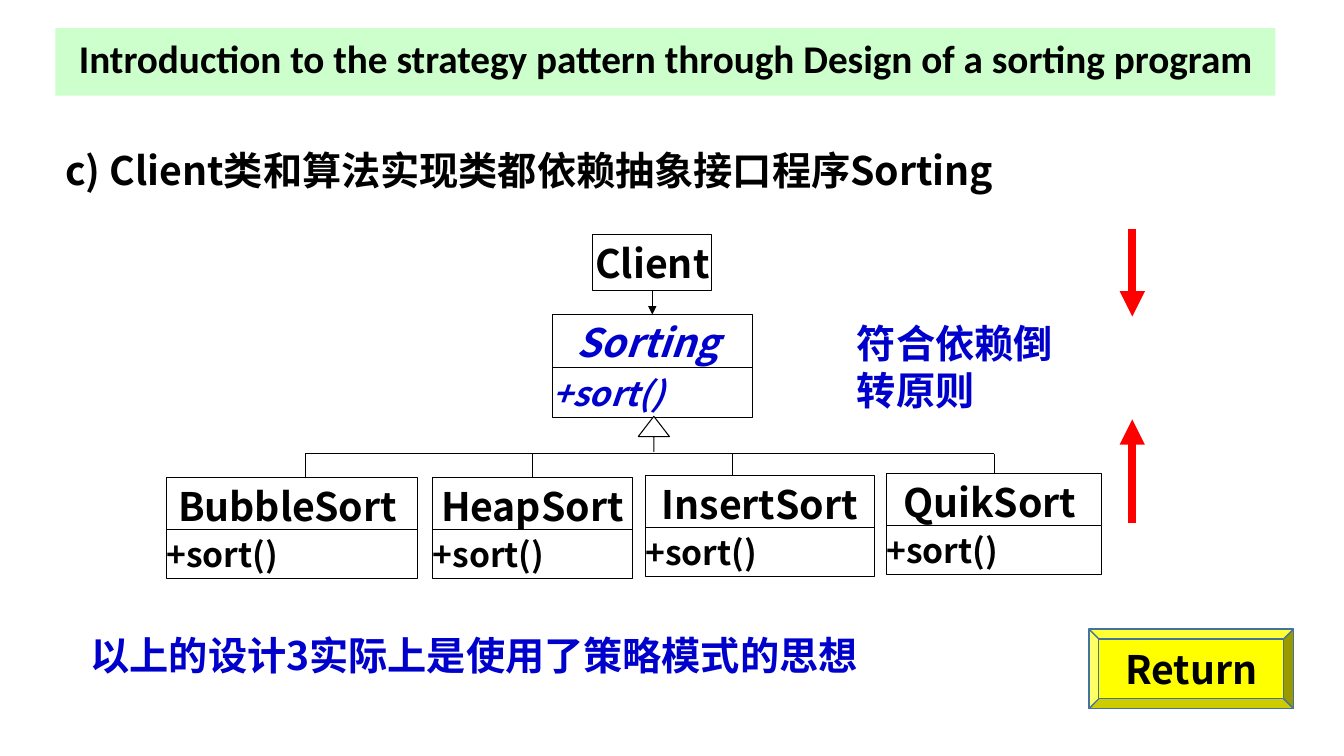
from dataclasses import dataclass

from lxml.etree import SubElement
from pptx import Presentation
from pptx.dml.color import RGBColor
from pptx.enum.shapes import MSO_CONNECTOR, MSO_SHAPE as Preset
from pptx.enum.text import MSO_ANCHOR as Anchor, MSO_AUTO_SIZE as AutoSize, PP_ALIGN as Align
from pptx.oxml.ns import qn
from pptx.util import Emu, Pt

EMU_PER_PX = 9144


def px(count):
    """Turn whole px, a hundred to the inch, into EMU."""
    return Emu(count * EMU_PER_PX)


@dataclass(frozen=True)
class Theme:
    """Colours, fonts and type sizes of the slide."""
    ink: str = "000000"
    accent: str = "0000CC"
    paper: str = "FFFFFF"
    banner: str = "CCFFCC"
    signal: str = "FF0000"
    button: str = "FFFF00"
    button_edge: str = "43739E"
    title_font: str = "Calibri"
    body_font: str = "Noto Sans CJK SC"
    large: int = 28
    small: int = 24
    hairline: float = 0.75


class Sketch:
    """Draws each kind of element on the current page in one style."""

    def __init__(self, page, theme):
        self.page = page
        self.theme = theme

    def label(self, shape, text, size, color, font, align=Align.LEFT, italic=False):
        """Put one bold paragraph into a shape."""
        shape.text_frame.text = text
        para = shape.text_frame.paragraphs[0]
        para.alignment = align
        for span in para.runs:
            span.font.size = Pt(size)
            span.font.bold = True
            span.font.italic = italic
            span.font.color.rgb = RGBColor.from_string(color)
            span.font.name = font
            SubElement(span.font._element, qn("a:ea")).set("typeface", font)
        return para

    def title(self, text, left, top, width, height):
        """Move and format the title placeholder as a banner."""
        banner = self.page.shapes.title
        banner.left, banner.top, banner.width, banner.height = map(px, (left, top, width, height))
        banner.fill.solid()
        banner.fill.fore_color.rgb = RGBColor.from_string(self.theme.banner)
        frame = banner.text_frame
        frame.auto_size = AutoSize.NONE
        frame.word_wrap = True
        frame.vertical_anchor = Anchor.MIDDLE
        para = self.label(banner, text, self.theme.large, self.theme.ink,
                          self.theme.title_font, Align.CENTER)
        para.line_spacing = 0.85

    def text(self, text, left, top, width, height, color):
        """Add a wrapping text box."""
        box = self.page.shapes.add_textbox(*map(px, (left, top, width, height)))
        box.text_frame.word_wrap = True
        self.label(box, text, self.theme.large, color, self.theme.body_font)

    def shape(self, preset, left, top, width, height, fill, edge, weight):
        """Add a flat filled and outlined preset shape."""
        shape = self.page.shapes.add_shape(preset, *map(px, (left, top, width, height)))
        shape.shadow.inherit = False
        shape.fill.solid()
        shape.fill.fore_color.rgb = RGBColor.from_string(fill)
        shape.line.color.rgb = RGBColor.from_string(edge)
        shape.line.width = Pt(weight)
        shape.text_frame.word_wrap = True
        shape.text_frame.vertical_anchor = Anchor.MIDDLE
        return shape

    def cell(self, text, left, top, width, height, size, align, abstract=False):
        """Add one compartment of a class diagram."""
        box = self.shape(Preset.RECTANGLE, left, top, width, height,
                         self.theme.paper, self.theme.ink, self.theme.hairline)
        frame = box.text_frame
        frame.margin_left = frame.margin_right = 0
        frame.margin_top = frame.margin_bottom = px(4)
        color = self.theme.accent if abstract else self.theme.ink
        self.label(box, text, size, color, self.theme.body_font, align, abstract)
        return box

    def name_cell(self, text, left, top, width, abstract=False):
        """Add the compartment with a class name."""
        return self.cell(text, left, top, width, 55, self.theme.large, Align.CENTER, abstract)

    def class_box(self, name, left, top, width, split=51, abstract=False):
        """Add a class with its sort method and return the name compartment."""
        head = self.name_cell(name, left, top, width, abstract)
        self.cell("+sort()", left, top + split, width, 49, self.theme.small,
                  Align.LEFT, abstract)
        return head

    def line(self, x1, y1, x2, y2, color=None, weight=None, arrow=False):
        """Add a straight line, with an arrowhead at its end if wanted."""
        link = self.page.shapes.add_connector(MSO_CONNECTOR.STRAIGHT, *map(px, (x1, y1, x2, y2)))
        link.line.color.rgb = RGBColor.from_string(color or self.theme.ink)
        link.line.width = Pt(weight or self.theme.hairline)
        if arrow:
            SubElement(link.line._get_or_add_ln(), qn("a:tailEnd")).set("type", "triangle")
        SubElement(link._element.spPr, qn("a:effectLst"))
        return link

    def inheritance(self, left, top, width, height):
        """Add the hollow inheritance arrow."""
        arrow = self.shape(Preset.UP_ARROW, left, top, width, height,
                           self.theme.paper, self.theme.ink, self.theme.hairline)
        arrow.adjustments[0] = 0
        arrow.adjustments[1] = 0.65

    def button(self, text, left, top, width, height):
        """Add a bevelled button."""
        button = self.shape(Preset.BEVEL, left, top, width, height,
                            self.theme.button, self.theme.button_edge, 1)
        self.label(button, text, self.theme.large, self.theme.ink,
                   self.theme.body_font, Align.CENTER)


def main():
    """Build the slide and save it."""
    deck = Presentation()
    deck.slide_width, deck.slide_height = px(1333), px(750)
    theme = Theme()
    sketch = Sketch(deck.slides.add_slide(deck.slide_layouts[5]), theme)

    sketch.title("Introduction to the strategy pattern through Design of a sorting program",
                 55, 28, 1210, 67)
    sketch.text("c) Client类和算法实现类都依赖抽象接口程序Sorting", 55, 140, 990, 64, theme.ink)
    sketch.text("以上的设计3实际上是使用了策略模式的思想", 80, 621, 788, 57, theme.accent)
    sketch.text("符合依赖倒转原则", 840, 312, 228, 104, theme.accent)

    client = sketch.name_cell("Client ", 588, 233, 118)
    sorting = sketch.class_box("Sorting ", 548, 312, 198, split=53, abstract=True)
    uses = sketch.line(647, 288, 647, 312, arrow=True)
    uses.begin_connect(client, 2)
    uses.end_connect(sorting, 0)
    sketch.inheritance(633, 413, 31, 35)

    bus = 450
    algorithms = [
        ("BubbleSort ", 165, 474, 249, 303),
        ("HeapSort", 429, 474, 198, 528),
        ("InsertSort", 640, 472, 227, 727),
        ("QuikSort ", 879, 470, 214, 986),
    ]
    sketch.line(algorithms[0][-1], bus, algorithms[-1][-1], bus)
    for name, left, top, width, branch in algorithms:
        head = sketch.class_box(name, left, top, width)
        link = sketch.line(branch, bus, branch, top)
        if branch == left + width // 2:
            link.end_connect(head, 0)

    for start, end in ((227, 314), (519, 416)):
        sketch.line(1123, start, 1123, end, theme.signal, 6, arrow=True)
    sketch.button("Return", 1080, 624, 203, 79)
    deck.save("out.pptx")


if __name__ == "__main__":
    main()
